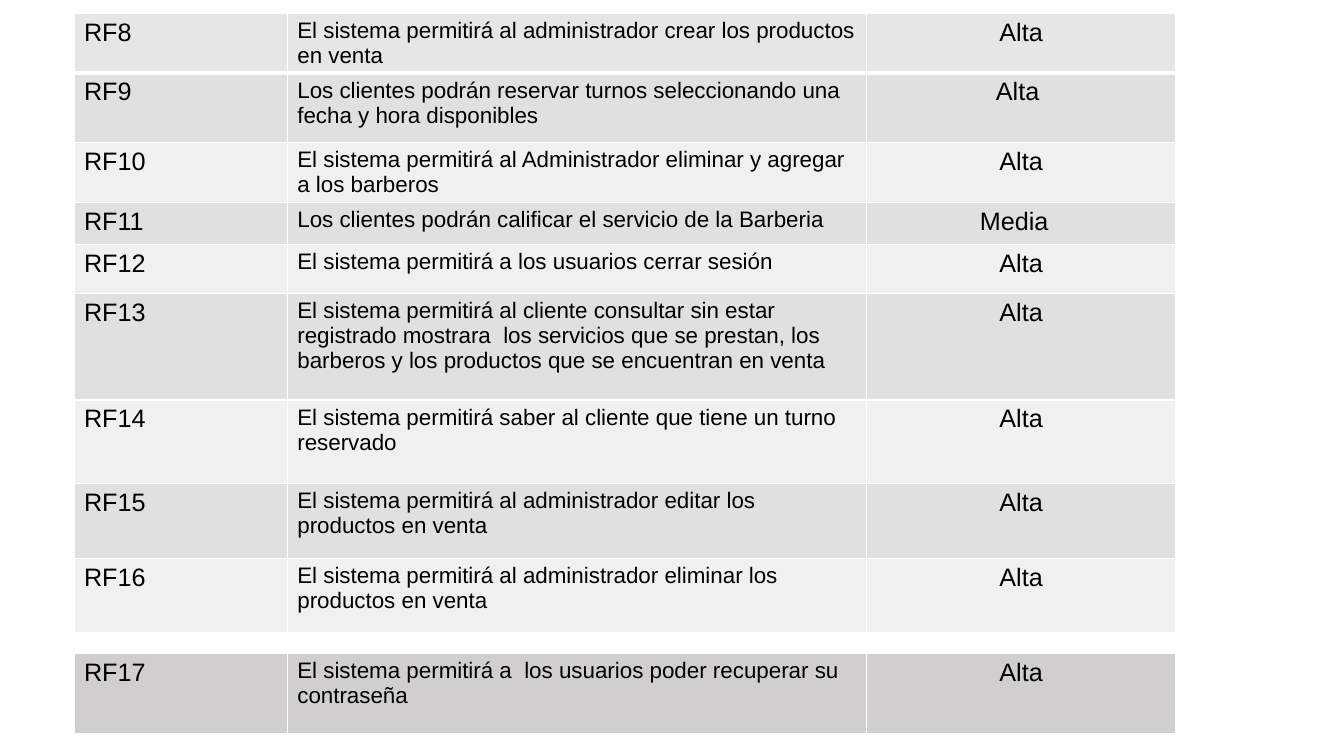
import pptx
import pptx.dml.color
import pptx.enum.text
import pptx.oxml
import pptx.oxml.ns
import pptx.util

Pt = pptx.util.Pt
RGB = pptx.dml.color.RGBColor.from_string
ALIGN = pptx.enum.text.PP_ALIGN

COLORS = {
    "text": "000000",
    "border": "FFFFFF",
    "first": "E7E6E6",
    "odd": "E0E0E0",
    "even": "F0F0F0",
    "last": "D0CECE",
}
LEFT = 52.8
COL_WIDTHS = [152.4, 413.7, 221]
COL_SIZES = [18, 16, 18]
COL_ALIGNS = [ALIGN.LEFT, ALIGN.LEFT, ALIGN.CENTER]

# Row height, description, priority
REQUIREMENTS = [
    (41.8, "El sistema permitirá al administrador crear los productos en venta", "Alta"),
    (49.7, "Los clientes podrán reservar turnos seleccionando una fecha y hora disponibles", "Alta "),
    (41.8, "El sistema permitirá al Administrador eliminar y agregar a los barberos", "Alta"),
    (30.2, "Los clientes podrán calificar el servicio de la Barberia", "Media  "),
    (34.6, "El sistema permitirá a los usuarios cerrar sesión", "Alta"),
    (76.3, "El sistema permitirá al cliente consultar sin estar registrado mostrara  los "
           "servicios que se prestan, los barberos y los productos que se encuentran en venta", "Alta"),
    (59.8, "El sistema permitirá saber al cliente que tiene un turno reservado", "Alta"),
    (53.3, "El sistema permitirá al administrador editar los productos en venta", "Alta"),
    (53.3, "El sistema permitirá al administrador eliminar los productos en venta", "Alta"),
]
RECOVERY = [
    (58.3, "El sistema permitirá a  los usuarios poder recuperar su contraseña", "Alta"),
]


def set_borders(cell, bottom):
    """Give the cell 1 pt borders, with its own width at the bottom."""
    tc_pr = cell._tc.get_or_add_tcPr()
    for i, (side, width) in enumerate(zip("LRTB", (1, 1, 1, bottom))):
        tc_pr.insert(i, pptx.oxml.parse_xml(
            f'<a:ln{side} {pptx.oxml.ns.nsdecls("a")} w="{Pt(width)}"><a:solidFill>'
            f'<a:srgbClr val="{COLORS["border"]}"/></a:solidFill></a:ln{side}>'))


def fill_cell(cell, text, size, align, fill, bottom):
    cell.fill.solid()
    cell.fill.fore_color.rgb = RGB(COLORS[fill])
    set_borders(cell, bottom)
    p = cell.text_frame.paragraphs[0]
    p.text = text
    p.alignment = align
    p.font.size = Pt(size)
    p.font.name = "Arial"
    p.font.color.rgb = RGB(COLORS["text"])


def add_requirements(s, top, height, first_number, rows, first_fill):
    """Add a table of numbered requirements; its first row has a thick bottom border."""
    frame = s.shapes.add_table(len(rows), len(COL_WIDTHS), Pt(LEFT), Pt(top),
                               Pt(sum(COL_WIDTHS)), Pt(height))
    table = frame.table
    table.first_row = table.horz_banding = False
    for column, width in zip(table.columns, COL_WIDTHS):
        column.width = Pt(width)
    for i, (row_height, description, priority) in enumerate(rows):
        table.rows[i].height = Pt(row_height)
        fill = first_fill if i == 0 else "odd" if i % 2 else "even"
        texts = (f"RF{first_number + i}", description, priority)
        for j, (text, size, align) in enumerate(zip(texts, COL_SIZES, COL_ALIGNS)):
            fill_cell(table.cell(i, j), text, size, align, fill, 3 if i == 0 else 1)
    frame.height = Pt(height)


def main():
    prs = pptx.Presentation()
    prs.slide_width, prs.slide_height = Pt(960), Pt(540)
    s = prs.slides.add_slide(prs.slide_layouts[6])
    add_requirements(s, 9.4, 457.2, 8, REQUIREMENTS, "first")
    add_requirements(s, 466.6, 58.3, 17, RECOVERY, "last")
    prs.save("out.pptx")


if __name__ == "__main__":
    main()
